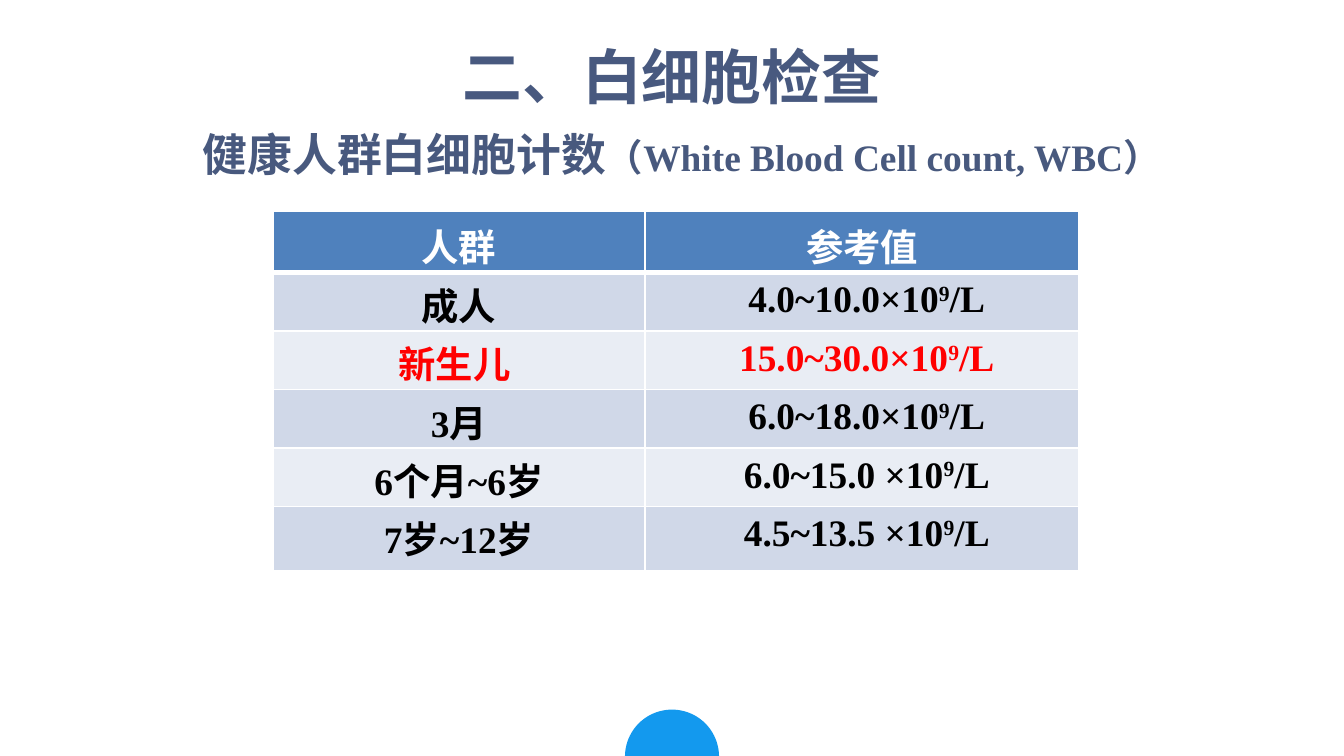
from lxml.etree import SubElement
from pptx import Presentation
from pptx.dml.color import RGBColor as Rgb
from pptx.enum.shapes import MSO_SHAPE as Shape
from pptx.enum.text import MSO_ANCHOR as Anchor, MSO_AUTO_SIZE as AutoSize, PP_ALIGN as Align
from pptx.oxml.ns import qn
from pptx.util import Inches, Pt

COLORS = {
    "title": "48597F", "subtitle": "48597E", "dot": "1399EE", "header": "4F81BD",
    "odd": "D0D8E8", "even": "E9EDF4", "white": "FFFFFF", "black": "000000", "red": "FF0000",
}
SERIF, SANS = "Times New Roman", "Noto Sans CJK SC"
COUNTS = [
    ("成人", " 4.0~10.0×10"),
    ("新生儿 ", " 15.0~30.0×10"),
    ("3月", " 6.0~18.0×10"),
    ("6个月~6岁", " 6.0~15.0 ×10"),
    ("7岁~12岁", " 4.5~13.5 ×10"),
]


def add_text(para, text, size=20, color="black", font=SERIF, raised=False):
    span = para.add_run()
    span.text = text
    span.font.size, span.font.bold, span.font.name = Pt(size), True, font
    span.font.color.rgb = Rgb.from_string(COLORS[color])
    props = span.font._element
    SubElement(props, qn("a:ea")).set("typeface", SANS)
    if raised:
        props.set("baseline", "30000")


class SlideBuilder:
    """Builds one slide, with lengths given as shares of its width and height."""

    def __init__(self, width, height):
        self.deck = Presentation()
        self.deck.slide_width, self.deck.slide_height = Inches(width), Inches(height)
        self.page = self.deck.slides.add_slide(self.deck.slide_layouts[5])

    def area(self, left, top, width, height):
        across, down = self.deck.slide_width, self.deck.slide_height
        return int(left * across), int(top * down), int(width * across), int(height * down)

    def title(self, text, *share):
        box = self.page.shapes.title
        box.left, box.top, box.width, box.height = self.area(*share)
        box.text_frame.vertical_anchor = Anchor.MIDDLE
        para = box.text_frame.paragraphs[0]
        para.alignment = Align.CENTER
        add_text(para, text, size=32, color="title")

    def subtitle(self, parts, *share):
        frame = self.page.shapes.add_textbox(*self.area(*share)).text_frame
        frame.word_wrap, frame.auto_size = True, AutoSize.SHAPE_TO_FIT_TEXT
        for text, size, font in parts:
            add_text(frame.paragraphs[0], text, size=size, color="subtitle", font=font)

    def half_disc(self, *share):
        disc = self.page.shapes.add_shape(Shape.PIE, *self.area(*share))
        disc.adjustments[0], disc.adjustments[1] = 0, 107.82
        disc.rotation = 180
        disc.shadow.inherit = False
        disc.fill.solid()
        disc.fill.fore_color.rgb = Rgb.from_string(COLORS["dot"])
        disc.line.fill.background()

    def cell(self, cell, fill, parts, color, bottom=1, top=1, inset=0.03):
        para = cell.text_frame.paragraphs[0]
        para.alignment = Align.CENTER
        for text, raised in parts:
            add_text(para, text, color=color, raised=raised)
        cell.margin_top, cell.margin_bottom = Inches(inset), 0
        props = cell._tc.get_or_add_tcPr()
        for side, points in (("L", 1), ("R", 1), ("T", top), ("B", bottom)):
            line = SubElement(props, qn(f"a:ln{side}"), w=str(Pt(points)))
            paint = SubElement(line, qn("a:solidFill"))
            SubElement(paint, qn("a:srgbClr"), val=COLORS["white"])
        cell.fill.solid()
        cell.fill.fore_color.rgb = Rgb.from_string(COLORS[fill])

    def table(self, header, counts, columns, rows, *share):
        grid = self.page.shapes.add_table(len(rows), len(columns), *self.area(*share)).table
        for column, width in zip(grid.columns, columns):
            column.width = int(width * self.deck.slide_width)
        for row, height in zip(grid.rows, rows):
            row.height = int(height * self.deck.slide_height)
        for index, text in enumerate(header):
            self.cell(grid.cell(0, index), "header", [(text, False)], "white", bottom=3, inset=0.05)
        for index, (group, count) in enumerate(counts, 1):
            fill = "odd" if index % 2 else "even"
            color = "red" if index == 2 else "black"
            top = 3 if index == 1 else 1
            value = [(count, False), ("9", True), ("/L", False)]
            self.cell(grid.cell(index, 0), fill, [(group, False)], color, top=top)
            self.cell(grid.cell(index, 1), fill, value, color, top=top, inset=0.05)


def main():
    width = 10
    height = width * 9 / 16
    slide = SlideBuilder(width, height)
    slide.half_disc(4.65 / width, 5.28 / height, 0.7 / width, 0.7 / height)
    slide.title("二、白细胞检查", 0.05, 0.09 / height, 0.9, 0.94 / height)
    heading = [("健康人群", 24, SANS), ("白细胞计数", 24, SERIF),
               ("（White Blood Cell count, WBC）", 20, SERIF)]
    slide.subtitle(heading, 1.41 / width, 0.89 / height, 7.48 / width, 0.5 / height)
    first, last, total = 0.46, 0.48, 2.68
    middle = (total - first - last) / 4
    rows = [tall / height for tall in (first, *[middle] * 4, last)]
    slide.table(("人群", "参考值"), COUNTS, (0.277, 0.323), rows,
                2.03 / width, 1.57 / height, 0.6, total / height)
    slide.deck.save("out.pptx")


if __name__ == "__main__":
    main()
